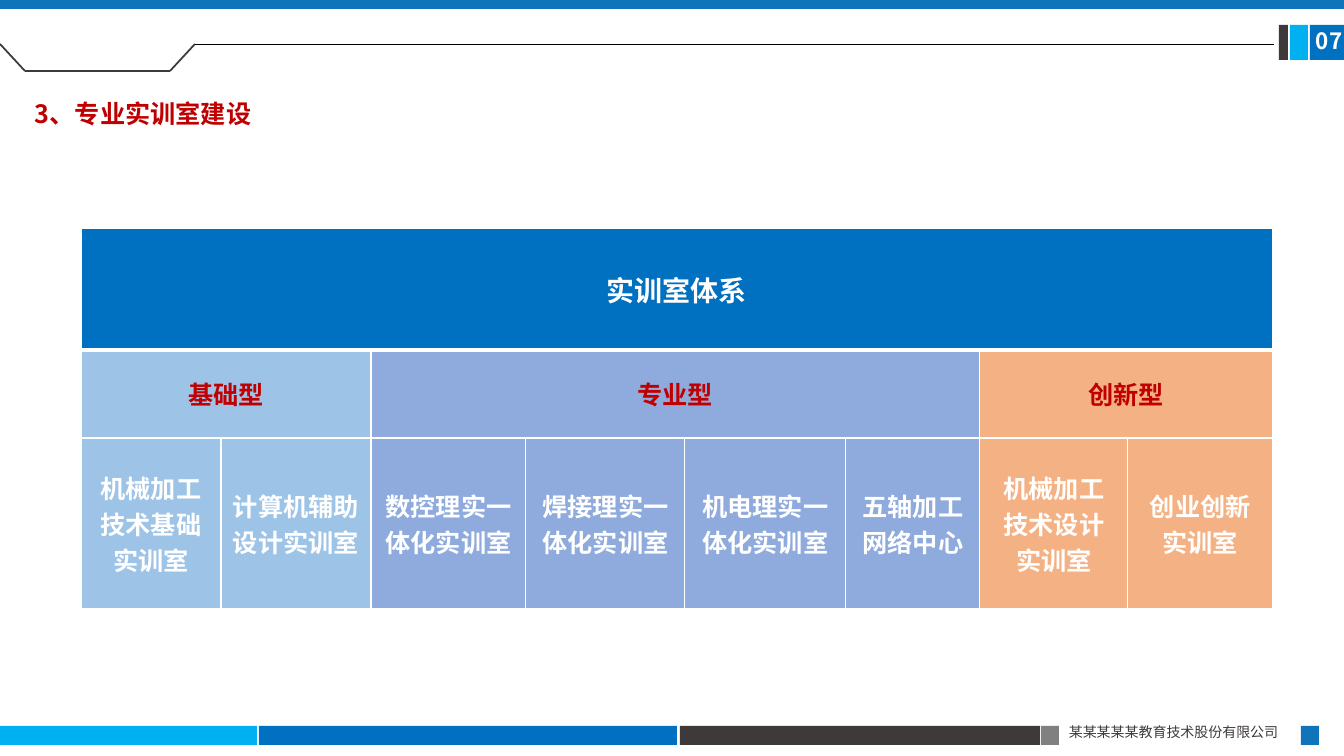
from lxml import etree
from pptx import Presentation
from pptx.dml.color import RGBColor
from pptx.enum.shapes import MSO_CONNECTOR, MSO_SHAPE
from pptx.enum.text import MSO_ANCHOR, PP_ALIGN
from pptx.oxml.ns import qn
from pptx.util import Emu, Pt

RECTANGLE = MSO_SHAPE.RECTANGLE
STRAIGHT = MSO_CONNECTOR.STRAIGHT
MIDDLE = MSO_ANCHOR.MIDDLE
LEFT, CENTER, JUSTIFY = PP_ALIGN.LEFT, PP_ALIGN.CENTER, PP_ALIGN.JUSTIFY

EMU_PER_PX = 914400 / 100.8
FONT = "Noto Sans CJK SC"
COLORS = {
    "blue": "0070C0",
    "trim": "1074BB",
    "cyan": "00B0F0",
    "dark": "3E3A39",
    "gray": "808080",
    "red": "C00000",
    "white": "FFFFFF",
    "black": "000000",
    "basic": "9DC3E6",
    "major": "8FAADC",
    "innovation": "F4B183",
}
BARS = [
    (0, 726, 257, 19, "cyan"),
    (259, 726, 418, 19, "blue"),
    (680, 726, 360, 19, "dark"),
    (1041, 726, 18, 19, "gray"),
    (1301, 726, 18, 19, "trim"),
    (1310, 25, 34, 35, "blue"),
    (1290, 25, 18, 35, "cyan"),
    (1279, 25, 9, 35, "dark"),
    (0, 0, 1344, 9, "trim"),
]
TAB_OUTLINE = [(0, 44), (25, 71), (170, 71), (195, 44)]
COLUMN_WIDTHS = [140, 150, 155, 159, 161, 134, 148, 145]
ROW_HEIGHTS = [122, 88, 171]
ROOM_TYPES = [
    ("基础型", "basic", ["机械加工技术基础实训室", "计算机辅助设计实训室"]),
    ("专业型", "major", ["数控理实一体化实训室", "焊接理实一体化实训室",
                      "机电理实一体化实训室", "五轴加工网络中心"]),
    ("创新型", "innovation", ["机械加工技术设计实训室", "创业创新实训室"]),
]


def px(length):
    return Emu(round(length * EMU_PER_PX))


def rgb(name):
    return RGBColor.from_string(COLORS[name])


def write_text(frame, text, size, color, bold=False, align=LEFT, spacing=None):
    paragraph = frame.paragraphs[0]
    paragraph.alignment = align
    if spacing:
        paragraph.line_spacing = spacing
    run = paragraph.add_run()
    run.text = text
    run.font.size = Pt(size)
    run.font.bold = bold
    run.font.color.rgb = rgb(color)
    run.font.name = FONT
    east_asian = etree.SubElement(run._r.get_or_add_rPr(), qn("a:ea"))
    east_asian.set("typeface", FONT)


def add_label(slide, left, top, width, height, text, margin_right=10, **style):
    frame = slide.shapes.add_textbox(px(left), px(top), px(width), px(height)).text_frame
    frame.word_wrap = True
    frame.margin_right = px(margin_right)
    write_text(frame, text, **style)


def add_bar(slide, left, top, width, height, color):
    bar = slide.shapes.add_shape(RECTANGLE, px(left), px(top), px(width), px(height))
    bar.shadow.inherit = False
    bar.fill.solid()
    bar.fill.fore_color.rgb = rgb(color)
    bar.line.fill.background()


def add_rule(slide, start, end, color, weight):
    rule = slide.shapes.add_connector(STRAIGHT, *map(px, start + end))
    rule.line.color.rgb = rgb(color)
    rule.line.width = Pt(weight)
    etree.SubElement(rule._element.spPr, qn("a:effectLst"))


def set_borders(cell, **weights):
    properties = cell._tc.get_or_add_tcPr()
    for index, side in enumerate("LRTB"):
        border = etree.Element(qn(f"a:ln{side}"), w=str(Pt(weights.get(side, 1))))
        fill = etree.SubElement(border, qn("a:solidFill"))
        etree.SubElement(fill, qn("a:srgbClr"), val=COLORS["white"])
        properties.insert(index, border)


def fill_cells(table, row, first, span, text, fill, **style):
    weights = {0: {"B": 3}, 1: {"T": 3}}.get(row, {})
    for column in range(first, first + span):
        cell = table.cell(row, column)
        cell.fill.solid()
        cell.fill.fore_color.rgb = rgb(fill)
        set_borders(cell, **weights)
    origin = table.cell(row, first)
    if span > 1:
        origin.merge(table.cell(row, first + span - 1))
    origin.vertical_anchor = MIDDLE
    origin.margin_left = origin.margin_right = px(12)
    origin.margin_top = origin.margin_bottom = px(5)
    write_text(origin.text_frame, text, bold=True, align=CENTER, **style)


def add_room_table(slide):
    table = slide.shapes.add_table(
        len(ROW_HEIGHTS), len(COLUMN_WIDTHS), px(81), px(228),
        px(sum(COLUMN_WIDTHS)), px(sum(ROW_HEIGHTS))).table
    table.first_row = table.horz_banding = False
    for column, width in zip(table.columns, COLUMN_WIDTHS):
        column.width = px(width)
    for row, height in zip(table.rows, ROW_HEIGHTS):
        row.height = px(height)
    fill_cells(table, 0, 0, len(COLUMN_WIDTHS), "实训室体系", "blue", size=20, color="white")
    first = 0
    for room_type, fill, rooms in ROOM_TYPES:
        fill_cells(table, 1, first, len(rooms), room_type, fill, size=18, color="red")
        for column, room in enumerate(rooms, first):
            fill_cells(table, 2, column, 1, room, fill, size=18, color="white")
        first += len(rooms)


def main():
    deck = Presentation()
    deck.slide_width, deck.slide_height = px(1344), px(756)
    slide = deck.slides.add_slide(deck.slide_layouts[6])
    for bar in BARS:
        add_bar(slide, *bar)
    for start, end in zip(TAB_OUTLINE, TAB_OUTLINE[1:]):
        add_rule(slide, start, end, "dark", 1.25)
    add_rule(slide, TAB_OUTLINE[-1], (1274, 44), "black", 0.5)
    add_label(slide, 1059, 719, 242, 27, "某某某某某教育技术股份有限公司",
              size=10, color="dark", align=JUSTIFY)
    add_label(slide, 1306, 22, 38, 37, "07", margin_right=0,
              size=16, color="white", bold=True)
    add_label(slide, 25, 91, 239, 49, "3、专业实训室建设",
              size=18, color="red", bold=True, spacing=1.08)
    add_room_table(slide)
    deck.save("out.pptx")


if __name__ == "__main__":
    main()
